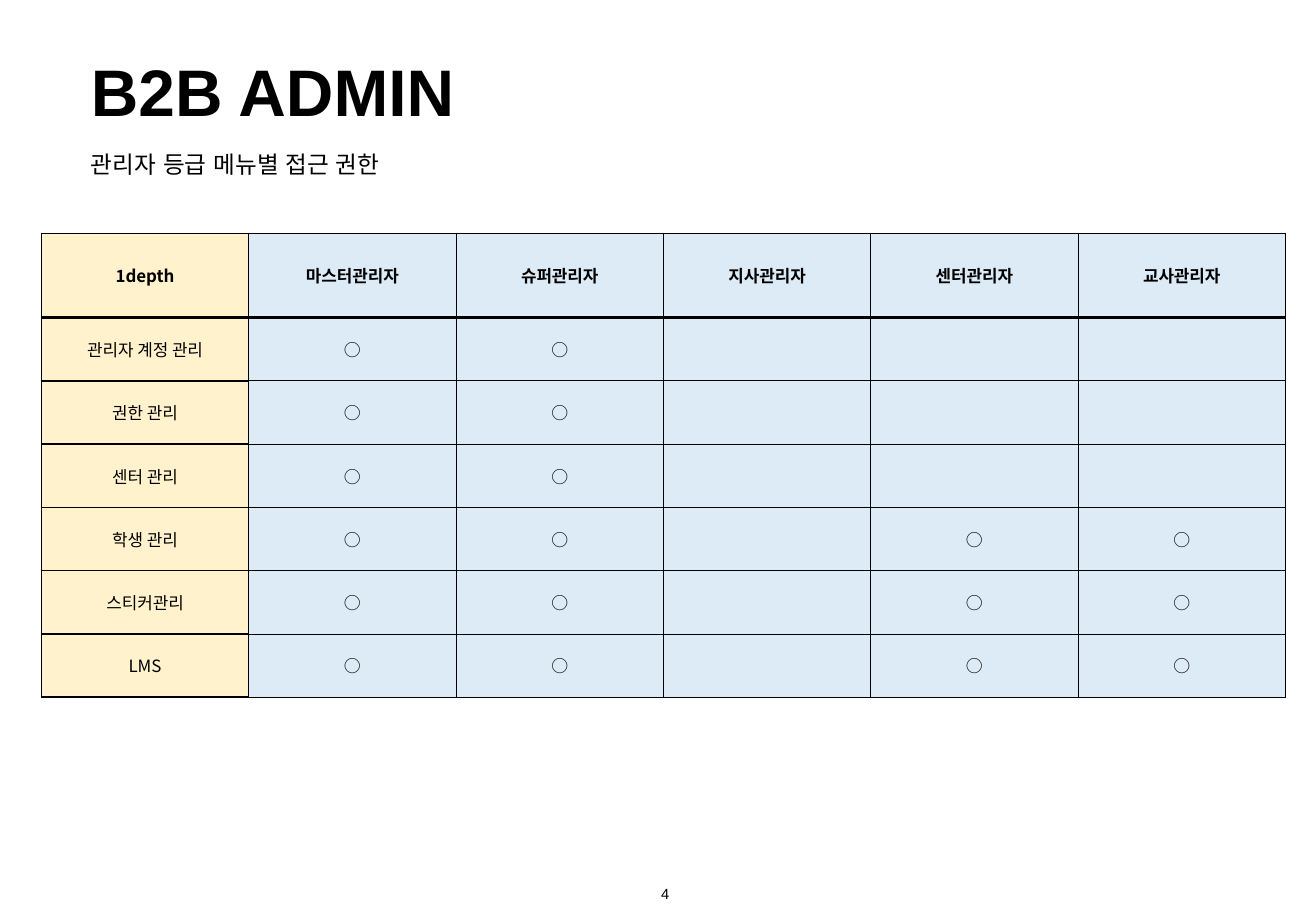
from dataclasses import dataclass

from lxml.etree import SubElement as Sub
from pptx import Presentation
from pptx.dml.color import RGBColor as Color
from pptx.enum.text import MSO_ANCHOR as Anchor, PP_ALIGN as Align
from pptx.oxml.ns import qn
from pptx.util import Inches, Pt


@dataclass(frozen=True)
class Theme:
    """Colours, fonts and type sizes of the slide."""
    ink: str = "000000"
    menu: str = "FFF2CC"
    role: str = "DDEBF7"
    sans: str = "Arial"
    grid: str = "Noto Sans CJK KR"
    head: float = 39
    sub: float = 14
    body: float = 10
    foot: float = 8.7


LOOK = Theme()
ROLES = ["1depth", "마스터관리자", "슈퍼관리자", "지사관리자", "센터관리자", "교사관리자"]
MENUS = [
    ("관리자 계정 관리", "○○   "),
    ("권한 관리", "○○   "),
    ("센터 관리", "○○   "),
    ("학생 관리", "○○ ○○"),
    ("스티커관리", "○○ ○○"),
    ("LMS", "○○ ○○"),
]


def write(frame, text, size, font, bold=False, align=Align.LEFT):
    """Add one styled run to the first paragraph of a frame."""
    para = frame.paragraphs[0]
    para.alignment = align
    run = para.add_run()
    run.text = text
    run.font.size = Pt(size)
    run.font.name = font
    run.font.bold = bold
    run.font.color.rgb = Color.from_string(LOOK.ink)
    Sub(run.font._element, qn("a:ea"), typeface=font)


def label(slide, box, text, size, anchor=Anchor.MIDDLE, top=0.05, **style):
    """Place a line of text in a box given in inches."""
    frame = slide.shapes.add_textbox(*map(Inches, box)).text_frame
    frame.word_wrap = True
    frame.vertical_anchor = anchor
    frame.margin_top = Inches(top)
    write(frame, text, size, LOOK.sans, **style)


def edge(cell, widths):
    """Draw the borders of a cell from widths in points."""
    for side, width in widths.items():
        line = Sub(cell._tc.get_or_add_tcPr(), qn(f"a:ln{side}"), w=str(Pt(width)))
        fill = Sub(line, qn("a:solidFill"))
        Sub(fill, qn("a:srgbClr"), val=LOOK.ink)


def rules(row, col, last):
    """Return the border widths for a place in the grid."""
    inner = 1 if col == 0 else 0.5
    return {
        "L": inner,
        "R": 1 if col == last else 0.5,
        "T": {0: 1, 1: 2}.get(row, inner),
        "B": 2 if row == 0 else inner,
    }


def matrix(slide, box):
    """Fill a box with the access table, its head row 4 units high and others 3."""
    rows = [ROLES] + [[name, *marks] for name, marks in MENUS]
    last = len(ROLES) - 1
    left, top, width, height = box
    unit = height / (4 + 3 * len(MENUS))
    table = slide.shapes.add_table(len(rows), len(ROLES), *map(Inches, box)).table
    table.first_row = table.horz_banding = False
    for col in table.columns:
        col.width = Inches(width / len(ROLES))
    for r, row in enumerate(rows):
        table.rows[r].height = Inches(unit * (3 if r else 4))
        for c, text in enumerate(row):
            cell = table.cell(r, c)
            cell.margin_left = cell.margin_right = 0
            cell.margin_top = cell.margin_bottom = 0
            cell.vertical_anchor = Anchor.MIDDLE
            edge(cell, rules(r, c, last))
            cell.fill.solid()
            cell.fill.fore_color.rgb = Color.from_string(LOOK.role if c else LOOK.menu)
            if text.strip():
                write(cell.text_frame, text, LOOK.body, LOOK.grid, r == 0, Align.CENTER)


def main():
    """Build the slide and save it."""
    deck = Presentation()
    deck.slide_width, deck.slide_height = Inches(10.83), Inches(7.5)
    slide = deck.slides.add_slide(deck.slide_layouts[6])
    label(slide, (5.19, 7.23, 0.57, 0.26), "4", LOOK.foot, align=Align.CENTER)
    label(slide, (0.65, 1.18, 5.42, 0.34), "관리자 등급 메뉴별 접근 권한", LOOK.sub)
    label(slide, (0.65, 0.32, 9.08, 0.7), "B2B ADMIN", LOOK.head, Anchor.TOP, 0.1, bold=True)
    matrix(slide, (0.34, 1.92, 10.24, 3.82))
    deck.save("out.pptx")


if __name__ == "__main__":
    main()
